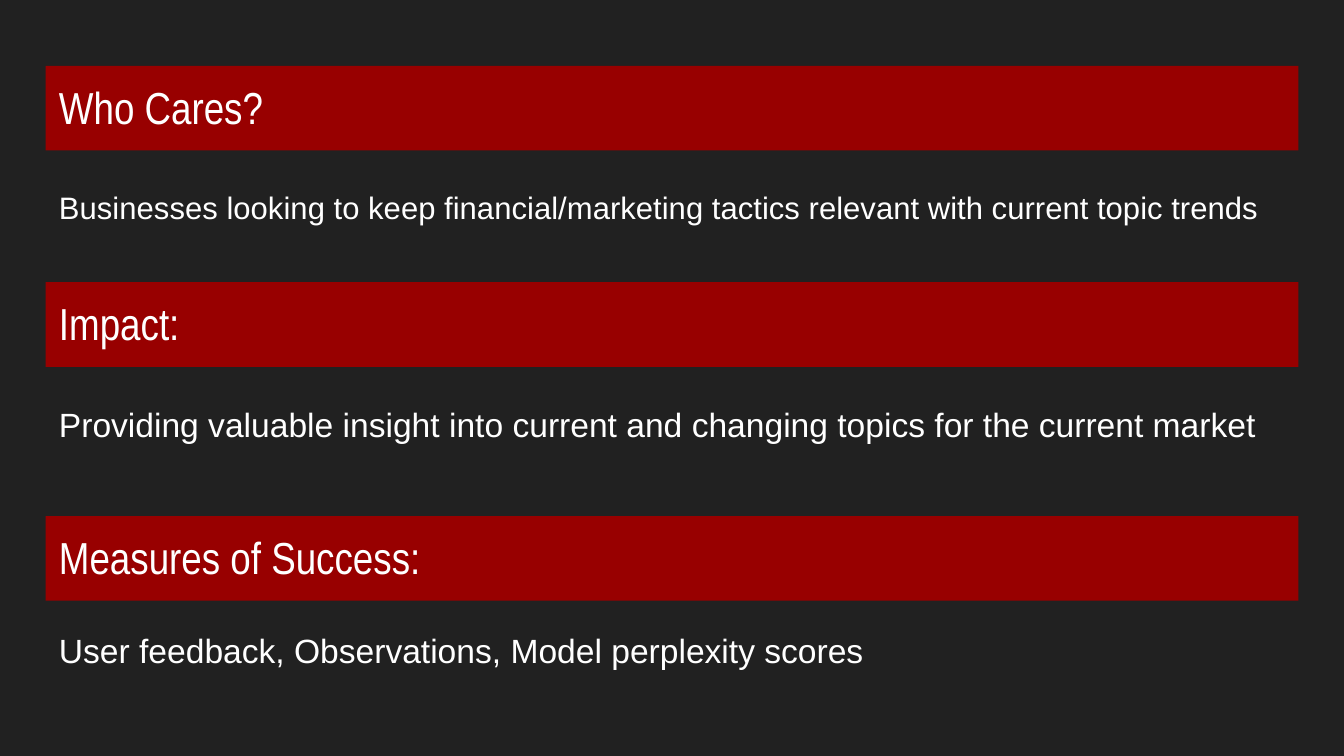
"""Build a slide of three red headings, each with a line of text below."""
import pptx
import pptx.dml.color
import pptx.enum.shapes
import pptx.enum.text
import pptx.util

Inches = pptx.util.Inches

BACKGROUND, BAR, TEXT = "212121", "980000", "FFFFFF"
SLIDE_WIDTH = 10
SLIDE_HEIGHT = SLIDE_WIDTH * 9 / 16
LEFT, WIDTH, BAR_HEIGHT = 0.34, 9.32, 0.63
SECTIONS = [
    {"heading": "Who Cares?", "top": 0.49,
     "body": "Businesses looking to keep financial/marketing tactics relevant with current topic trends",
     "body_top": 1.26, "body_height": 0.71, "size": 16.65},
    {"heading": "Impact:", "top": 2.1,
     "body": "Providing valuable insight into current and changing topics for the current market",
     "body_top": 2.86, "body_height": 0.84, "size": 18},
    {"heading": "Measures of Success:", "top": 3.84,
     "body": "User feedback, Observations, Model perplexity scores",
     "body_top": 4.54, "body_height": 0.84, "size": 18},
]


def set_fill(fill, color):
    fill.solid()
    fill.fore_color.rgb = pptx.dml.color.RGBColor.from_string(color)


def write(sp, text, font, size):
    tf = sp.text_frame
    tf.word_wrap = True
    tf.vertical_anchor = pptx.enum.text.MSO_ANCHOR.TOP
    tf.margin_left = tf.margin_right = tf.margin_top = tf.margin_bottom = Inches(0.1)
    p = tf.paragraphs[0]
    p.text = text
    p.alignment = pptx.enum.text.PP_ALIGN.LEFT
    p.font.name = font
    p.font.size = pptx.util.Pt(size)
    set_fill(p.font.fill, TEXT)
    return p


def add_heading(s, text, top):
    sp = s.shapes.add_shape(pptx.enum.shapes.MSO_SHAPE.RECTANGLE, Inches(LEFT),
                            Inches(top), Inches(WIDTH), Inches(BAR_HEIGHT))
    sp.shadow.inherit = False
    set_fill(sp.fill, BAR)
    sp.line.fill.background()
    write(sp, text, "Arial Narrow", 24)


def add_body(s, text, top, height, size):
    sp = s.shapes.add_textbox(Inches(LEFT), Inches(top), Inches(WIDTH), Inches(height))
    p = write(sp, text, "Arial", size)
    p.line_spacing = 1.15
    p.space_after = pptx.util.Pt(12)


def main():
    prs = pptx.Presentation()
    prs.slide_width, prs.slide_height = Inches(SLIDE_WIDTH), Inches(SLIDE_HEIGHT)
    s = prs.slides.add_slide(prs.slide_layouts[6])
    set_fill(s.background.fill, BACKGROUND)
    for section in SECTIONS:
        add_heading(s, section["heading"], section["top"])
        add_body(s, section["body"], section["body_top"],
                 section["body_height"], section["size"])
    prs.save("out.pptx")


if __name__ == "__main__":
    main()
